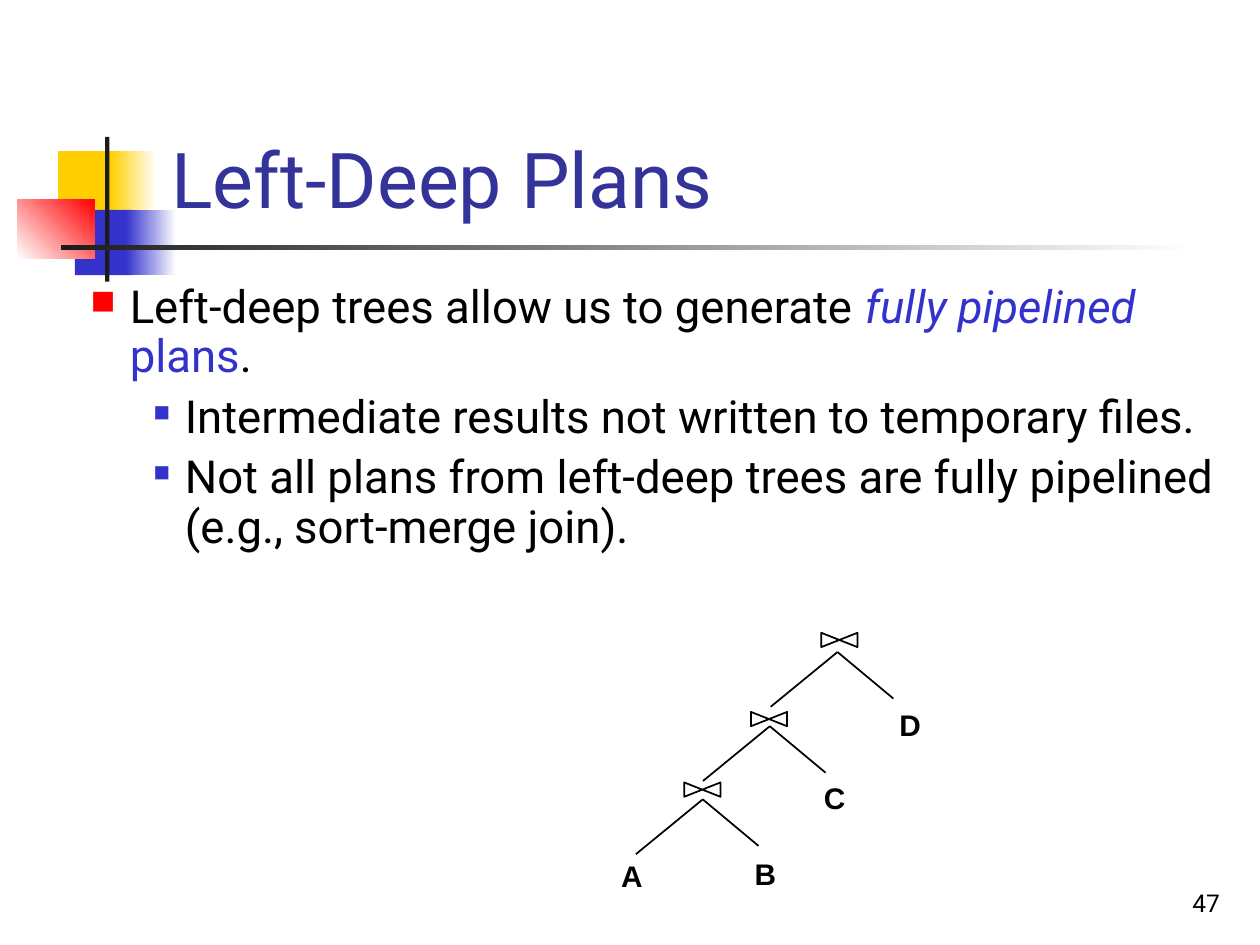
"""Build the "Left-Deep Plans" slide with its join tree."""
import lxml.etree
import pptx
import pptx.dml.color
import pptx.enum.shapes
import pptx.enum.text
import pptx.oxml.ns
import pptx.util

Pt = pptx.util.Pt
qn = pptx.oxml.ns.qn
ALIGN = pptx.enum.text.PP_ALIGN
ANCHOR = pptx.enum.text.MSO_ANCHOR
COLORS = {
    name: pptx.dml.color.RGBColor.from_string(value)
    for name, value in {
        "yellow": "FFCF01", "blue": "3333CC", "red": "FF0000", "white": "FFFFFF",
        "charcoal": "1C1C1C", "navy": "333399", "black": "000000",
    }.items()
}


def style_font(font, name, size, color, bold=False):
    font.name, font.size, font.bold = name, Pt(size), bold
    font.color.rgb = COLORS[color]


def add_text_box(left, top, width, height, wrap):
    box = page.shapes.add_textbox(Pt(left), Pt(top), Pt(width), Pt(height))
    box.text_frame.word_wrap = wrap
    return box.text_frame


deck = pptx.Presentation()
deck.slide_width, deck.slide_height = Pt(720), Pt(540)
page = deck.slides.add_slide(deck.slide_layouts[5])

ornaments = [
    (33.2, 86.4, 34.5, 37.4, ["yellow"], 0),
    (63.4, 86.4, 25.9, 37.4, ["yellow", "white"], 0),
    (42.8, 119.9, 33.1, 37.4, ["blue"], 0),
    (72, 119.9, 28.8, 37.4, ["blue", "white"], 0),
    (9.9, 114.1, 44.2, 33.4, ["white", "red"], 45),
    (60.1, 78.2, 2.5, 82.8, ["charcoal"], 0),
    (34.9, 140.2, 648, 2.5, ["charcoal", "white"], 0),
]
for left, top, width, height, colors, angle in ornaments:
    ornament = page.shapes.add_shape(
        pptx.enum.shapes.MSO_SHAPE.RECTANGLE, Pt(left), Pt(top), Pt(width), Pt(height))
    ornament.shadow.inherit = False
    ornament.line.fill.background()
    if len(colors) == 1:
        ornament.fill.solid()
        ornament.fill.fore_color.rgb = COLORS[colors[0]]
    else:
        ornament.fill.gradient()
        ornament.fill.gradient_angle = angle
        for stop, position, color in zip(ornament.fill.gradient_stops, (0, 1), colors):
            stop.position = position
            stop.color.rgb = COLORS[color]

title = page.shapes.title
title.left, title.top, title.width, title.height = Pt(90.7), Pt(16.6), Pt(613.4), Pt(115.2)
title.text_frame.text = "Left-Deep Plans"
title.text_frame.vertical_anchor = ANCHOR.BOTTOM
title.text_frame.auto_size = pptx.enum.text.MSO_AUTO_SIZE.NONE
para = title.text_frame.paragraphs[0]
para.alignment = ALIGN.LEFT
style_font(para.font, "Roboto", 44, "navy")

bullets = [
    (0, [("Left-deep trees allow us to generate ", "black", False),
         ("fully pipelined ", "blue", True), ("plans", "blue", False), (".", "black", False)]),
    (1, [("Intermediate results not written to temporary files.", "black", False)]),
    (1, [("Not all plans from left-deep trees are fully pipelined (e.g., sort-merge join).",
          "black", False)]),
]
bullet_styles = [(58.5, -22.5, "red", 75), (90, -18, "blue", 50)]
body = add_text_box(8.6, 159.1, 696.2, 201.6, True)
for index, (level, spans) in enumerate(bullets):
    para = body.add_paragraph() if index else body.paragraphs[0]
    para.level = level
    para.line_spacing, para.space_before = 0.9, Pt(6.5)
    style_font(para.font, "Roboto", 26, "black")
    for text, color, italic in spans:
        span = para.add_run()
        span.text = text
        span.font.color.rgb = COLORS[color]
        span.font.italic = italic
    margin, indent, color, percent = bullet_styles[level]
    properties = para._p.get_or_add_pPr()
    properties.set("marL", str(Pt(margin)))
    properties.set("indent", str(Pt(indent)))
    marks = [
        lxml.etree.Element(qn("a:buClr")),
        lxml.etree.Element(qn("a:buSzPct"), val=str(percent * 1000)),
        lxml.etree.Element(qn("a:buChar"), char="■"),
    ]
    lxml.etree.SubElement(marks[0], qn("a:srgbClr"), val=str(COLORS[color]))
    place = properties.index(properties.find(qn("a:defRPr")))
    properties[place:place] = marks

joins = [(469.3, 361.6, 478.6, 372.6), (429.1, 406.8, 439.9, 415), (391, 447.1, 401.6, 456.8)]
for left, top, apex_x, apex_y in joins:
    right, bottom = left + 20.7, top + 8.2
    builder = page.shapes.build_freeform(Pt(left), Pt(top))
    builder.add_line_segments(
        [(Pt(x), Pt(y)) for x, y in ((right, bottom), (right, top), (left, bottom))], close=True)
    bowtie = builder.convert_to_shape()
    bowtie.shadow.inherit = False
    bowtie.fill.background()
    lines = [bowtie]
    for reach, drop in ((-38.2, 31.3), (31.9, 26.6)):
        branch = page.shapes.add_connector(
            pptx.enum.shapes.MSO_CONNECTOR.STRAIGHT,
            Pt(apex_x), Pt(apex_y), Pt(apex_x + reach), Pt(apex_y + drop))
        lines.append(branch)
    for line in lines:
        line.line.color.rgb = COLORS["black"]
        line.line.width = Pt(1)
    for branch in lines[1:]:
        lxml.etree.SubElement(branch._element.spPr, qn("a:effectLst"))

for relation, left, top in (
        ("A", 347.8, 486.7), ("B", 424.1, 485.3), ("C", 463.7, 442.1), ("D", 506.9, 400.3)):
    label = add_text_box(left, top, 26.6, 27.4, False)
    label.text = relation
    style_font(label.paragraphs[0].font, "Arial", 17, "black", True)

number = add_text_box(554.4, 491.8, 149.8, 36, True)
number.text = "47"
number.vertical_anchor = ANCHOR.BOTTOM
number.paragraphs[0].alignment = ALIGN.RIGHT
style_font(number.paragraphs[0].font, "Roboto", 14, "black")

deck.save("out.pptx")
